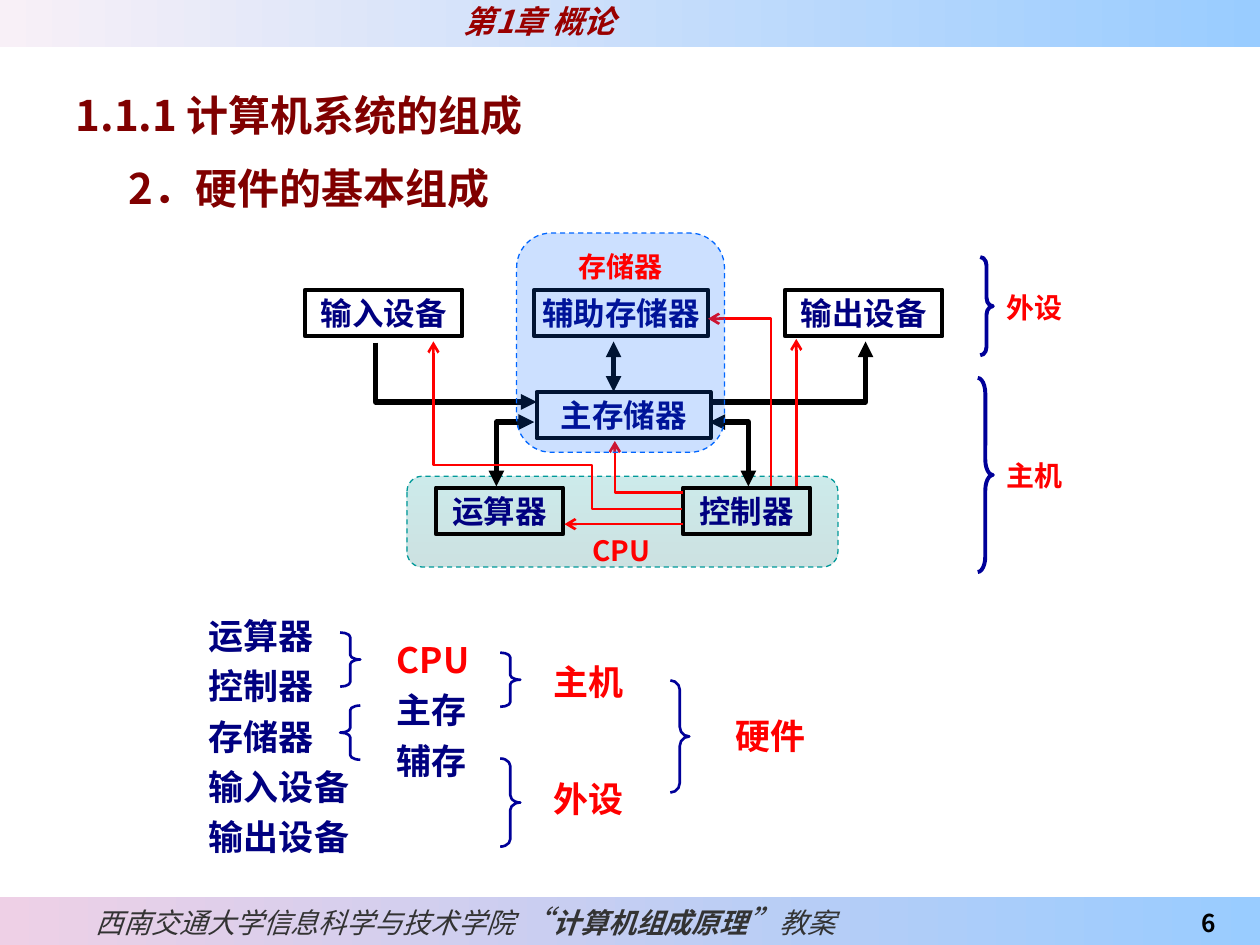
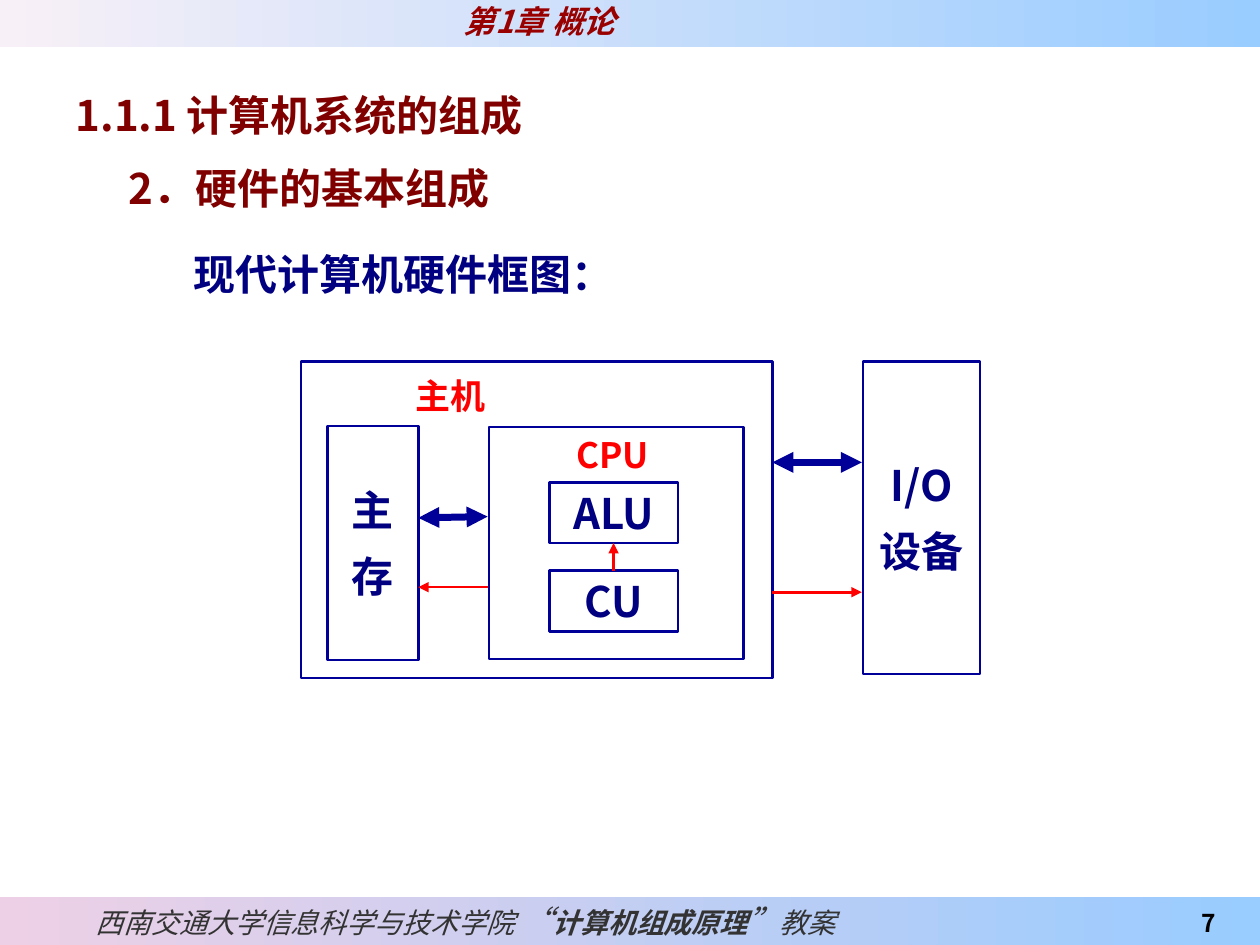
from dataclasses import dataclass
from typing import NamedTuple, Optional

import pptx
import pptx.util
from lxml import etree
from pptx.dml.color import RGBColor
from pptx.enum.dml import MSO_LINE
from pptx.enum.shapes import MSO_CONNECTOR, MSO_SHAPE
from pptx.enum.text import MSO_ANCHOR, MSO_AUTO_SIZE, PP_ALIGN
from pptx.oxml.ns import qn

# Grid: 100 columns by 75 rows, so one cell is a tenth of an inch
COLUMNS, ROWS = 100, 75
WIDTH, HEIGHT = pptx.util.Inches(10), pptx.util.Inches(7.5)

FONT = "Noto Sans CJK SC"
MAROON, CRIMSON, RED = "800000", "990000", "FF0000"
NAVY, BLUE, BLACK, GRAY = "000080", "000099", "000000", "333333"
SKY, TEAL, AZURE = "99CCFF", "009999", "0066FF"


class Box(NamedTuple):
    left: float
    top: float
    width: float
    height: float


@dataclass
class Node:
    text: str
    box: Box
    size: float = 18
    color: str = NAVY
    align: PP_ALIGN = PP_ALIGN.CENTER


@dataclass
class Route:
    points: list
    color: str = BLACK
    width: float = 3
    head: Optional[str] = None
    tail: str = "triangle"


class Brace(NamedTuple):
    box: Box
    curve: float
    width: float = 1.5
    kind: MSO_SHAPE = MSO_SHAPE.RIGHT_BRACE


# Helpers
def column(number: float) -> int:
    return round(WIDTH * number / COLUMNS)


def row(number: float) -> int:
    return round(HEIGHT * number / ROWS)


def place(box: Box) -> tuple:
    return column(box.left), row(box.top), column(box.width), row(box.height)


def rgb(value: str) -> RGBColor:
    return RGBColor.from_string(value)


def add_run(paragraph, text: str, *, size=18, color=NAVY, bold=True, italic=False):
    run = paragraph.add_run()
    run.text = text
    font = run.font
    font.size, font.bold, font.italic = pptx.util.Pt(size), bold, italic
    font.color.rgb = rgb(color)
    font.name = FONT
    latin = run._r.rPr.find(qn("a:latin"))
    latin.addnext(latin.makeelement(qn("a:ea"), {"typeface": FONT}))


def write(shape, text: str, *, align=PP_ALIGN.CENTER, anchor=MSO_ANCHOR.MIDDLE,
          insets=(0, 0.05, 0, 0.05), wrap=True, pitch=None, first_color=None, **style):
    """Write one paragraph per line; pitch is the line distance in points."""
    frame = shape.text_frame
    frame.word_wrap, frame.auto_size = wrap, MSO_AUTO_SIZE.NONE
    frame.vertical_anchor = anchor
    frame.margin_left, frame.margin_top, frame.margin_right, frame.margin_bottom = (
        pptx.util.Inches(inset) for inset in insets)
    for index, line in enumerate(text.split("\n")):
        paragraph = frame.add_paragraph() if index else frame.paragraphs[0]
        properties = paragraph._p.get_or_add_pPr()
        properties.set("marL", "0")
        properties.set("indent", "0")
        etree.SubElement(properties, qn("a:buNone"))
        paragraph.alignment = align
        paragraph.space_before = pptx.util.Pt(0)
        paragraph.line_spacing = pptx.util.Pt(pitch) if pitch else 1.0
        first = {"color": first_color} if first_color and not index else {}
        add_run(paragraph, line, **{**style, **first})
    return frame


def add_box(slide, box: Box, kind=MSO_SHAPE.RECTANGLE, *, line=None, width=1.5,
            fill=(), angle=0, alpha=None, dashed=False, adjust=()):
    """Draw a preset shape; one fill colour is solid, two make a gradient."""
    shape = slide.shapes.add_shape(kind, *place(box))
    shape.shadow.inherit = False
    for index, value in enumerate(adjust):
        shape.adjustments[index] = value
    if len(fill) == 2:
        shape.fill.gradient()
        shape.fill.gradient_angle = angle
        for stop, color, position in zip(shape.fill.gradient_stops, fill, (0, 1)):
            stop.color.rgb, stop.position = rgb(color), position
    elif fill:
        shape.fill.solid()
        shape.fill.fore_color.rgb = rgb(fill[0])
    else:
        shape.fill.background()
    if alpha:
        for color in list(shape.element.spPr.iter(qn("a:srgbClr"))):
            etree.SubElement(color, qn("a:alpha"), val=str(alpha * 1000))
    if line:
        shape.line.color.rgb = rgb(line)
        shape.line.width = pptx.util.Pt(width)
        if dashed:
            shape.line.dash_style = MSO_LINE.DASH
    else:
        shape.line.fill.background()
    return shape


def add_label(slide, node: Node):
    label = slide.shapes.add_textbox(*place(node.box))
    write(label, node.text, size=node.size, color=node.color, align=node.align)


def add_node(slide, node: Node, line=BLACK, width=2.25, **style):
    shape = add_box(slide, node.box, line=line, width=width)
    write(shape, node.text, size=node.size, color=node.color, **style)
    return shape


def add_route(slide, route: Route):
    """Draw a straight connector for two points and an open outline for more."""
    points = [(column(x), row(y)) for x, y in route.points]
    if len(points) == 2:
        shape = slide.shapes.add_connector(MSO_CONNECTOR.STRAIGHT, *points[0], *points[1])
        etree.SubElement(shape.element.spPr, qn("a:effectLst"))
    else:
        builder = slide.shapes.build_freeform(*points[0])
        builder.add_line_segments(points[1:], close=False)
        shape = builder.convert_to_shape()
        shape.fill.background()
        shape.shadow.inherit = False
    shape.line.color.rgb = rgb(route.color)
    shape.line.width = pptx.util.Pt(route.width)
    outline = shape.element.spPr.find(qn("a:ln"))
    for end, kind in (("a:headEnd", route.head), ("a:tailEnd", route.tail)):
        if kind:
            etree.SubElement(outline, qn(end), type=kind)
    return shape


def add_brace(slide, brace: Brace):
    add_box(slide, brace.box, brace.kind, line=BLUE, width=brace.width,
            adjust=(brace.curve, 0.5))


def add_page(presentation):
    """Add a slide with the shared bands, page number and headings."""
    slide = presentation.slides.add_slide(presentation.slide_layouts[1])

    # Bands
    header = add_box(slide, Box(0, 0, 100, 3.7), fill=("F8F0F7", SKY))
    write(header, "第1章 概论", color=CRIMSON, italic=True, align=PP_ALIGN.LEFT,
          insets=(3.68, 0, 0, 0.03))
    footer = add_box(slide, Box(0, 71.2, 100, 3.8), fill=("EED0E6", SKY))
    frame = write(footer, "西南交通大学信息科学与技术学院 ", size=16, color=GRAY, bold=False,
                  italic=True, align=PP_ALIGN.LEFT, insets=(0.76, 0.05, 0, 0.05), wrap=False)
    for text, size, bold in (("“", 18, False), ("计算机组成原理", 16, True),
                             ("”", 18, False), ("教案", 16, False)):
        add_run(frame.paragraphs[0], text, size=size, color=GRAY, bold=bold, italic=True)

    # Page number, turned into a live field
    number = slide.shapes.add_textbox(*place(Box(86.7, 71.1, 10.8, 3.8)))
    frame = write(number, str(len(presentation.slides)+5), size=14, color=BLACK,
                  align=PP_ALIGN.RIGHT, anchor=MSO_ANCHOR.BOTTOM, insets=(0.1, 0, 0.1, 0.05))
    run = frame.paragraphs[0].runs[0]._r
    run.tag = qn("a:fld")
    run.set("id", "{B6F15528-21DE-4FAA-801E-634DDDAF4B2B}")
    run.set("type", "slidenum")

    # Headings
    for shape, text, box in (
            (slide.shapes.title, "1.1.1 计算机系统的组成", Box(5, 4.6, 88.6, 6.5)),
            (slide.placeholders[1], "2．硬件的基本组成", Box(9.2, 10.4, 90.8, 6.5))):
        shape.left, shape.top, shape.width, shape.height = place(box)
        write(shape, text, size=24, color=MAROON, align=PP_ALIGN.LEFT,
              anchor=MSO_ANCHOR.BOTTOM, insets=(0.1, 0.04, 0.1, 0))
    return slide


def build_composition(presentation):
    slide = add_page(presentation)

    # Units, with the processor region behind them
    add_box(slide, Box(32.3, 37.8, 34.2, 7.2), MSO_SHAPE.ROUNDED_RECTANGLE, line=TEAL,
            width=0.75, dashed=True, fill=(TEAL, "006D6D"), angle=270, alpha=20)
    add_label(slide, Node("CPU", Box(44.3, 42.2, 10, 3), 16, RED))
    for text, left, top, width in (
            ("输入设备", 24.2, 23, 12.5), ("输出设备", 62.3, 23, 12.5),
            ("辅助存储器", 42.4, 23, 13.8), ("主存储器", 42.6, 31.1, 13.8),
            ("运算器", 34.6, 38.7, 10.1), ("控制器", 54.2, 38.7, 10.1)):
        add_node(slide, Node(text, Box(left, top, width, 3.7)))

    # Data paths
    for points, head in (
            ([(48.7, 27.1), (48.7, 31.1)], "triangle"),
            ([(29.8, 27.2), (29.8, 31.9), (42.6, 31.9)], None),
            ([(56.3, 31.9), (68.7, 31.9), (68.7, 27.1)], None),
            ([(42.4, 33.5), (39.4, 33.5), (39.4, 38.6)], "triangle"),
            ([(56.3, 33.5), (59.4, 33.5), (59.4, 38.6)], "triangle")):
        add_route(slide, Route(points, head=head))

    # Control paths
    for points in (
            [(54.2, 41.6), (44.8, 41.6)],
            [(54.2, 39.1), (48.8, 39.1), (48.8, 35)],
            [(54.1, 40.4), (47, 40.4), (47, 36.9), (34.4, 36.9), (34.4, 27.1)],
            [(61.2, 38.6), (61.2, 25.3), (56.2, 25.3)],
            [(63.2, 38.6), (63.2, 26.9)]):
        add_route(slide, Route(points, RED, 1.5, tail="arrow"))

    # Storage region in front
    storage = add_box(slide, Box(41, 18.5, 16.5, 17.4), MSO_SHAPE.ROUNDED_RECTANGLE,
                      line=AZURE, width=0.75, dashed=True, fill=(AZURE,), alpha=20)
    write(storage, "存储器", size=16, color=RED, anchor=MSO_ANCHOR.TOP)

    # Braces beside the diagram and in the summary
    for brace in (
            Brace(Box(77.8, 20.4, 1, 7.8), 0.667, 2.25),
            Brace(Box(77.6, 30, 1.2, 15.4), 1.028, 2.25),
            Brace(Box(27, 50.2, 1.6, 4.3), 0.231),
            Brace(Box(27, 56, 1.6, 4.3), 0.231, kind=MSO_SHAPE.LEFT_BRACE),
            Brace(Box(39.7, 51.8, 1.6, 4.3), 0.231),
            Brace(Box(39.7, 60.2, 1.6, 7), 0.372),
            Brace(Box(53.2, 54, 1.5, 8.9), 0.503)):
        add_brace(slide, brace)
    for node in (
            Node("外设", Box(77.4, 22.7, 9.4, 3.4), 16, RED),
            Node("主机", Box(77.8, 36, 8.6, 3.4), 16, RED),
            Node("主机", Box(43.9, 51.8, 8, 4.5), 20, RED, PP_ALIGN.LEFT),
            Node("外设", Box(43.9, 61.1, 8, 4.5), 20, RED, PP_ALIGN.LEFT),
            Node("硬件", Box(58.4, 56.1, 8, 4.5), 20, RED, PP_ALIGN.LEFT)):
        add_label(slide, node)

    # Summary lists
    for text, box, first_color in (
            ("运算器\n控制器\n存储器\n输入设备\n输出设备", Box(15.6, 47.6, 16.6, 21.2), NAVY),
            ("CPU\n主存\n辅存", Box(30.5, 49.5, 16.6, 13.1), RED)):
        write(slide.shapes.add_textbox(*place(box)), text, size=20, first_color=first_color,
              align=PP_ALIGN.LEFT, anchor=MSO_ANCHOR.TOP, insets=(0.1, 0.05, 0.1, 0.05),
              pitch=28.8)


def build_block_diagram(presentation):
    slide = add_page(presentation)
    add_label(slide, Node("现代计算机硬件框图：", Box(12.5, 19.4, 39, 4.6), 24))

    # Frames: host and processor
    for box in (Box(23.9, 28.7, 37.4, 25.1), Box(38.8, 33.9, 20.2, 18.4)):
        add_box(slide, box, line=BLUE)
    add_label(slide, Node("主机", Box(29.3, 29.4, 13, 4), 20, RED))
    add_label(slide, Node("CPU", Box(43.3, 34.1, 10.7, 4), 20, RED))

    # Blocks
    for node in (Node("主\n存", Box(26, 33.8, 7.2, 18.6), 24),
                 Node("I/O\n设备", Box(68.5, 28.7, 9.3, 24.8), 24)):
        add_node(slide, node, BLUE, 1.5, pitch=38, insets=(0, 0, 0, 0.13))
    arithmetic, control = (
        add_node(slide, Node(text, Box(43.6, top, 10.2, 4.8), 24), BLUE, 1.5)
        for text, top in (("ALU", 38.3), ("CU", 45.3)))

    # Data and control paths
    for start, end in (((61.3, 36.7), (68.4, 36.7)), ((33.2, 41.1), (38.7, 41))):
        add_route(slide, Route([start, end], BLUE, 4, head="triangle"))
    for start, end in (((61.3, 47), (68.4, 47)), ((38.7, 46.6), (33.2, 46.6))):
        add_route(slide, Route([start, end], RED, 1.5))
    command = add_route(slide, Route([(48.7, 45.3), (48.7, 43.1)], RED, 1.5))
    command.begin_connect(control, 0)
    command.end_connect(arithmetic, 2)


def main():
    presentation = pptx.Presentation()
    presentation.slide_width, presentation.slide_height = WIDTH, HEIGHT
    presentation.element.set("firstSlideNum", "6")
    build_composition(presentation)
    build_block_diagram(presentation)
    presentation.save("out.pptx")


if __name__ == "__main__":
    main()
